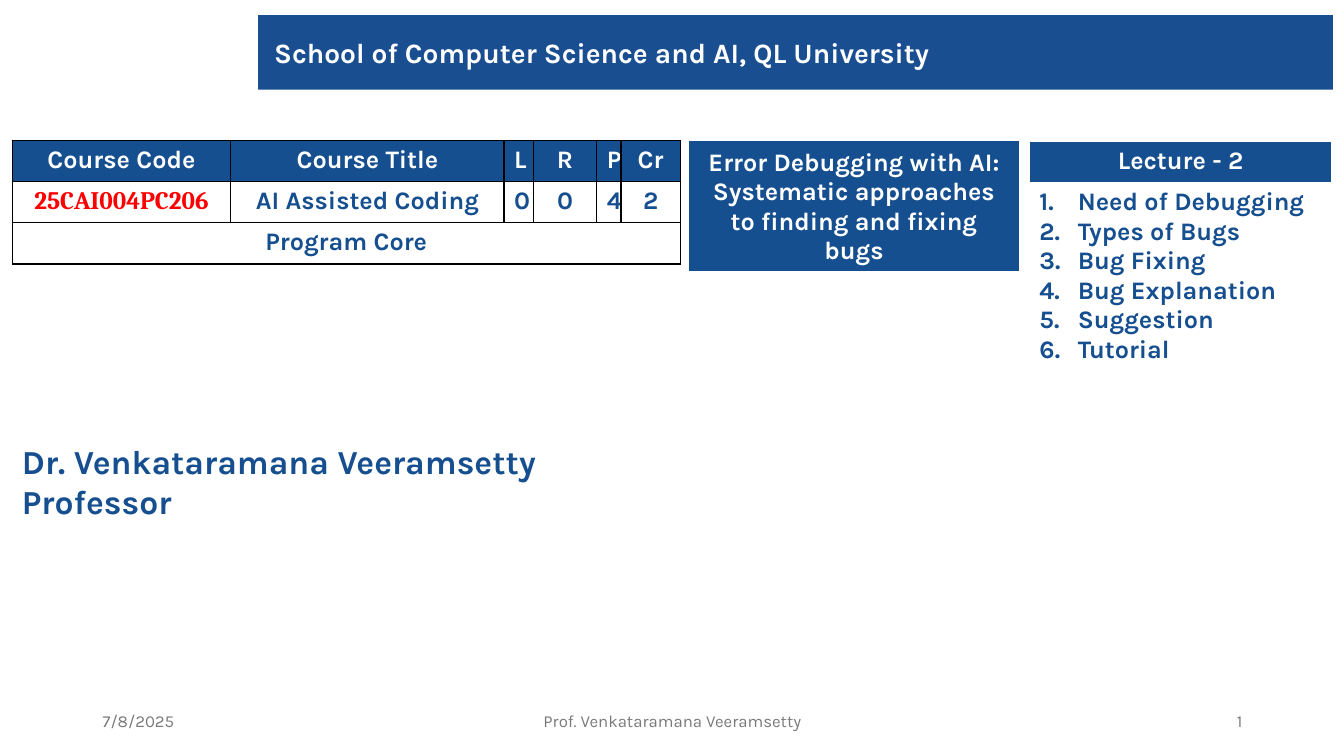
from dataclasses import dataclass

from lxml import etree
from pptx import Presentation
from pptx.dml.color import RGBColor
from pptx.enum.text import MSO_ANCHOR as Anchor, MSO_AUTO_SIZE as AutoSize, PP_ALIGN as Align
from pptx.oxml.ns import qn
from pptx.slide import Slide
from pptx.table import Table, _Cell as Cell
from pptx.text.text import TextFrame
from pptx.util import Inches, Pt

BANNER_BLUE = RGBColor(0x19, 0x4E, 0x91)
BLUE = RGBColor(0x16, 0x4F, 0x8F)
WHITE = RGBColor(0xFF, 0xFF, 0xFF)
RED = RGBColor(0xFF, 0x00, 0x00)
GRAY = RGBColor(0x79, 0x79, 0x79)
BORDER_HEX = "000000"


@dataclass(frozen=True)
class TextStyle:
    size: float
    color: RGBColor
    bold: bool = True
    font: str = "Karla"
    align: Align = Align.LEFT


@dataclass(frozen=True)
class TextBox:
    text: str
    left: float
    top: float
    width: float
    height: float
    style: TextStyle
    anchor: Anchor = Anchor.TOP


@dataclass(frozen=True)
class TableBlock:
    left: float
    top: float
    columns: list[float]
    rows: list[float]


HEADER = TextStyle(18, WHITE, align=Align.CENTER)
DATA = TextStyle(18, BLUE, align=Align.CENTER)
COURSE_CODE = TextStyle(18, RED, font="Cambria", align=Align.CENTER)
TOPIC = TextStyle(18, BLUE)
LECTURER = TextStyle(24, BLUE)

TEXT_BOXES = [
    TextBox("Dr. Venkataramana Veeramsetty\nProfessor", 0.12, 4.32, 6.04, 0.91, LECTURER),
] + [
    TextBox(text, left, 6.95, width, 0.4, TextStyle(12, GRAY, False, align=align), Anchor.MIDDLE)
    for text, left, width, align in (
        ("7/8/2025", 0.92, 3, Align.LEFT),
        ("Prof. Venkataramana Veeramsetty", 4.42, 4.5, Align.CENTER),
        ("1", 9.42, 3, Align.RIGHT),
    )
]

COURSE_TABLE = TableBlock(0.12, 1.39, [2.17, 2.71, 0.29, 0.63, 0.23, 0.59], [0.41] * 3)
SUBJECT_TABLE = TableBlock(6.83, 1.39, [3.28], [1.3])
LECTURE_TABLE = TableBlock(10.21, 1.4, [3], [0.41, 1.87])

COURSE_ROWS = [
    ["Course Code", "Course Title", "L", "R", "P", "Cr"],
    ["25CAI004PC206", "AI Assisted Coding", "0", "0", "4", "2"],
    ["Program Core", "", "", "", "", ""],
]
SUBJECT = "Error Debugging with AI: Systematic approaches to finding and fixing bugs"
TOPICS = ["Need of Debugging", "Types of Bugs", "Bug Fixing",
          "Bug Explanation", "Suggestion", "Tutorial"]


def write_text(frame: TextFrame, text: str, style: TextStyle) -> None:
    frame.text = text
    for paragraph in frame.paragraphs:
        paragraph.alignment = style.align
        for run in paragraph.runs:
            run.font.size = Pt(style.size)
            run.font.name = style.font
            run.font.bold = style.bold
            run.font.color.rgb = style.color


def fill_cell(cell: Cell, text: str, style: TextStyle, color: RGBColor | None) -> None:
    write_text(cell.text_frame, text, style)
    if color is None:
        cell.fill.background()
    else:
        cell.fill.solid()
        cell.fill.fore_color.rgb = color


def add_borders(cell: Cell) -> None:
    properties = cell._tc.get_or_add_tcPr()
    for side in ("lnL", "lnR", "lnT", "lnB"):
        line = etree.SubElement(properties, qn(f"a:{side}"), w=str(Pt(1)))
        fill = etree.SubElement(line, qn("a:solidFill"))
        etree.SubElement(fill, qn("a:srgbClr"), val=BORDER_HEX)


def number_paragraphs(frame: TextFrame) -> None:
    for paragraph in frame.paragraphs:
        properties = paragraph._p.get_or_add_pPr()
        properties.set("marL", str(Inches(0.38)))
        properties.set("indent", str(-Inches(0.38)))
        etree.SubElement(properties, qn("a:buAutoNum"), type="arabicPeriod")


def add_table(slide: Slide, block: TableBlock) -> Table:
    table = slide.shapes.add_table(
        len(block.rows), len(block.columns), Inches(block.left), Inches(block.top),
        Inches(sum(block.columns)), Inches(sum(block.rows))).table
    table.first_row = table.horz_banding = False
    for column, width in zip(table.columns, block.columns):
        column.width = Inches(width)
    for row, height in zip(table.rows, block.rows):
        row.height = Inches(height)
    return table


def add_title(slide: Slide) -> None:
    title = slide.shapes.title
    title.left, title.top = Inches(2.56), Inches(0.15)
    title.width, title.height = Inches(10.66), Inches(0.74)
    title.fill.solid()
    title.fill.fore_color.rgb = BANNER_BLUE
    frame = title.text_frame
    frame.auto_size = AutoSize.NONE
    frame.vertical_anchor = Anchor.MIDDLE
    frame.margin_left = Inches(0.16)
    write_text(frame, "School of Computer Science and AI, QL University", TextStyle(20, WHITE))


def add_text_box(slide: Slide, box: TextBox) -> None:
    shape = slide.shapes.add_textbox(
        Inches(box.left), Inches(box.top), Inches(box.width), Inches(box.height))
    shape.text_frame.word_wrap = True
    shape.text_frame.vertical_anchor = box.anchor
    write_text(shape.text_frame, box.text, box.style)


def add_course_table(slide: Slide) -> None:
    table = add_table(slide, COURSE_TABLE)
    for row_index, texts in enumerate(COURSE_ROWS):
        for column_index, text in enumerate(texts):
            cell = table.cell(row_index, column_index)
            add_borders(cell)
            is_header = row_index == 0
            fill_cell(cell, text, HEADER if is_header else DATA, BLUE if is_header else WHITE)
    write_text(table.cell(1, 0).text_frame, COURSE_ROWS[1][0], COURSE_CODE)
    table.cell(2, 0).merge(table.cell(2, 5))


def add_subject_table(slide: Slide) -> None:
    cell = add_table(slide, SUBJECT_TABLE).cell(0, 0)
    fill_cell(cell, SUBJECT, HEADER, BLUE)
    cell.vertical_anchor = Anchor.BOTTOM


def add_lecture_table(slide: Slide) -> None:
    table = add_table(slide, LECTURE_TABLE)
    fill_cell(table.cell(0, 0), "Lecture - 2", HEADER, BLUE)
    topics_cell = table.cell(1, 0)
    fill_cell(topics_cell, "\n".join(TOPICS), TOPIC, None)
    number_paragraphs(topics_cell.text_frame)


def main() -> None:
    presentation = Presentation()
    presentation.slide_width = Inches(13.33)
    presentation.slide_height = Inches(7.5)
    slide = presentation.slides.add_slide(presentation.slide_layouts[5])
    add_title(slide)
    for box in TEXT_BOXES:
        add_text_box(slide, box)
    add_course_table(slide)
    add_subject_table(slide)
    add_lecture_table(slide)
    presentation.save("out.pptx")


if __name__ == "__main__":
    main()
